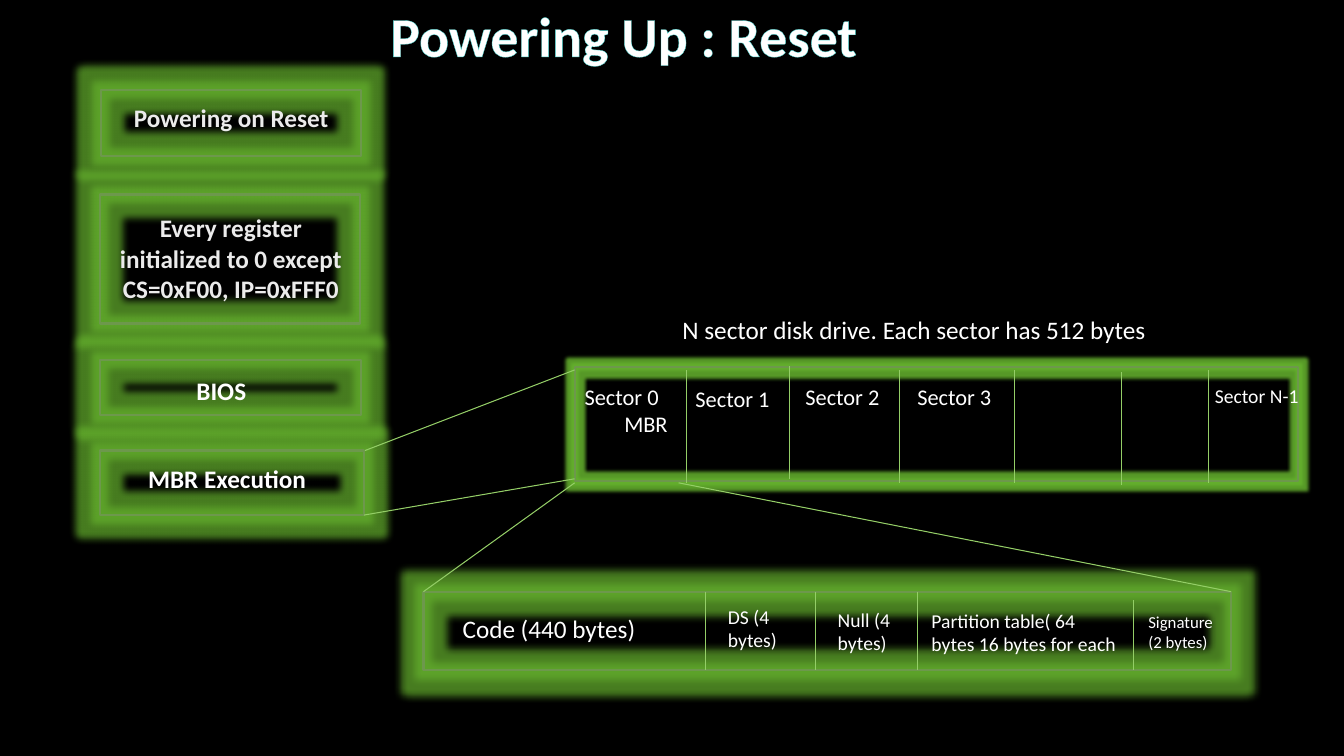
from lxml.etree import SubElement
from pptx import Presentation
from pptx.dml.color import RGBColor
from pptx.enum.shapes import MSO_CONNECTOR, MSO_SHAPE
from pptx.enum.text import PP_ALIGN
from pptx.oxml import parse_xml
from pptx.oxml.ns import nsdecls, qn
from pptx.util import Inches, Pt


def rgb(value):
    return RGBColor.from_string(value)


class Deck:
    font = "Calibri"
    white, soft = "FFFFFF", "EBEBEB"
    border, wire, glow, edge = "6D984C", "94CE67", "66B32E", "49D1CD"

    def __init__(self):
        self.prs = Presentation()
        self.prs.slide_width, self.prs.slide_height = Inches(13.33), Inches(7.5)
        self.s = self.prs.slides.add_slide(self.prs.slide_layouts[6])
        fill = self.s.background.fill
        fill.solid()
        fill.fore_color.rgb = rgb("000000")

    def box(self, x, y, w, h, radius=11, opacity=70):
        sp = self.s.shapes.add_shape(
            MSO_SHAPE.RECTANGLE, Inches(x), Inches(y), Inches(w), Inches(h))
        sp.fill.background()
        sp.line.color.rgb = rgb(self.border)
        sp.line.width = Pt(1.5)
        sp.shadow.inherit = False
        effects = sp._element.spPr.find(qn("a:effectLst"))
        effects.append(parse_xml(
            f'<a:glow {nsdecls("a")} rad="{Pt(radius)}"><a:srgbClr val="{self.glow}">'
            f'<a:alpha val="{opacity * 1000}"/></a:srgbClr></a:glow>'))

    def line(self, x1, y1, x2, y2):
        c = self.s.shapes.add_connector(
            MSO_CONNECTOR.STRAIGHT, Inches(x1), Inches(y1), Inches(x2), Inches(y2))
        c.line.color.rgb = rgb(self.wire)
        c.line.width = Pt(0.75)
        SubElement(c._element.spPr, qn("a:effectLst"))

    def text(self, x, y, w, h, lines, size, color=white, bold=False,
             aligns=(PP_ALIGN.LEFT,), wrap=True):
        sp = self.s.shapes.add_textbox(Inches(x), Inches(y), Inches(w), Inches(h))
        tf = sp.text_frame
        tf.word_wrap = wrap
        tf.text = "\n".join(lines)
        for i, p in enumerate(tf.paragraphs):
            p.alignment = aligns[min(i, len(aligns) - 1)]
            p.font.name, p.font.size, p.font.bold = self.font, Pt(size), bold
            p.font.color.rgb = rgb(color)
        return tf

    def outline(self, tf):
        for r in tf.paragraphs[0].runs:
            r._r.get_or_add_rPr().insert(0, parse_xml(
                f'<a:ln {nsdecls("a")} w="{Pt(0.52)}"><a:solidFill>'
                f'<a:srgbClr val="{self.edge}"/></a:solidFill></a:ln>'))


deck = Deck()
center = (PP_ALIGN.CENTER,)

title = deck.text(3.68, -0.04, 5.01, 0.77, ["Powering Up : Reset"], 40,
                  bold=True, aligns=center, wrap=False)
deck.outline(title)

for x, y, w, h in ((1, 0.89, 2.58, 0.66), (0.99, 1.93, 2.58, 1.28),
                   (0.99, 3.57, 2.59, 0.55), (0.99, 4.47, 2.62, 0.64)):
    deck.box(x, y, w, h)
deck.text(1.23, 0.97, 2.28, 0.4, ["Powering on Reset"], 18, deck.soft, True)
deck.text(1, 2.06, 2.58, 1.01,
          ["Every register initialized to 0 except", "CS=0xF00, IP=0xFFF0"],
          18, deck.soft, True, center)
deck.text(1.85, 3.67, 1.66, 0.42, ["BIOS"], 18, bold=True)
deck.text(1.37, 4.55, 2.18, 0.4, ["MBR Execution"], 18, bold=True)

deck.box(5.7, 3.64, 7.17, 1.13, radius=5, opacity=85)
deck.text(6.67, 3.07, 5.18, 0.4,
          ["N sector disk drive. Each sector has 512 bytes"], 18)
for x, top in ((6.81, 3.67), (7.83, 3.63), (8.92, 3.67),
               (10.06, 3.67), (11.12, 3.69), (11.99, 3.67)):
    deck.line(x, top, x, top + 1.12)
deck.text(5.7, 3.75, 1.02, 0.64, ["Sector 0", "MBR"], 16,
          aligns=(PP_ALIGN.LEFT, PP_ALIGN.RIGHT))
for number, x, y in ((1, 6.8, 3.77), (2, 7.89, 3.75), (3, 9, 3.75)):
    deck.text(x, y, 1.04, 0.37, [f"Sector {number}"], 16)
deck.text(11.95, 3.76, 1.11, 0.34, ["Sector N-1"], 14)

deck.box(4.2, 5.87, 8.01, 0.78)
for x, top in ((7, 5.87), (8.09, 5.87), (9.1, 5.87), (11.24, 5.95)):
    deck.line(x, top, x, 6.65)
for x, y, w, h, label, size in (
    (4.49, 6.04, 2.26, 0.4, "Code (440 bytes)", 18),
    (7.12, 5.95, 0.85, 0.57, "DS (4 bytes)", 14),
    (8.21, 5.98, 0.85, 0.57, "Null (4 bytes)", 14),
    (9.14, 5.99, 2.05, 0.57, "Partition table( 64 bytes 16 bytes for each", 14),
    (11.29, 6.02, 0.85, 0.5, "Signature (2 bytes)", 12),
):
    deck.text(x, y, w, h, [label], size)

for ends in ((3.62, 4.47, 5.7, 3.67), (3.61, 5.11, 5.7, 4.75),
             (5.7, 4.79, 4.2, 5.87), (6.73, 4.79, 12.21, 5.87)):
    deck.line(*ends)

deck.prs.save("out.pptx")
